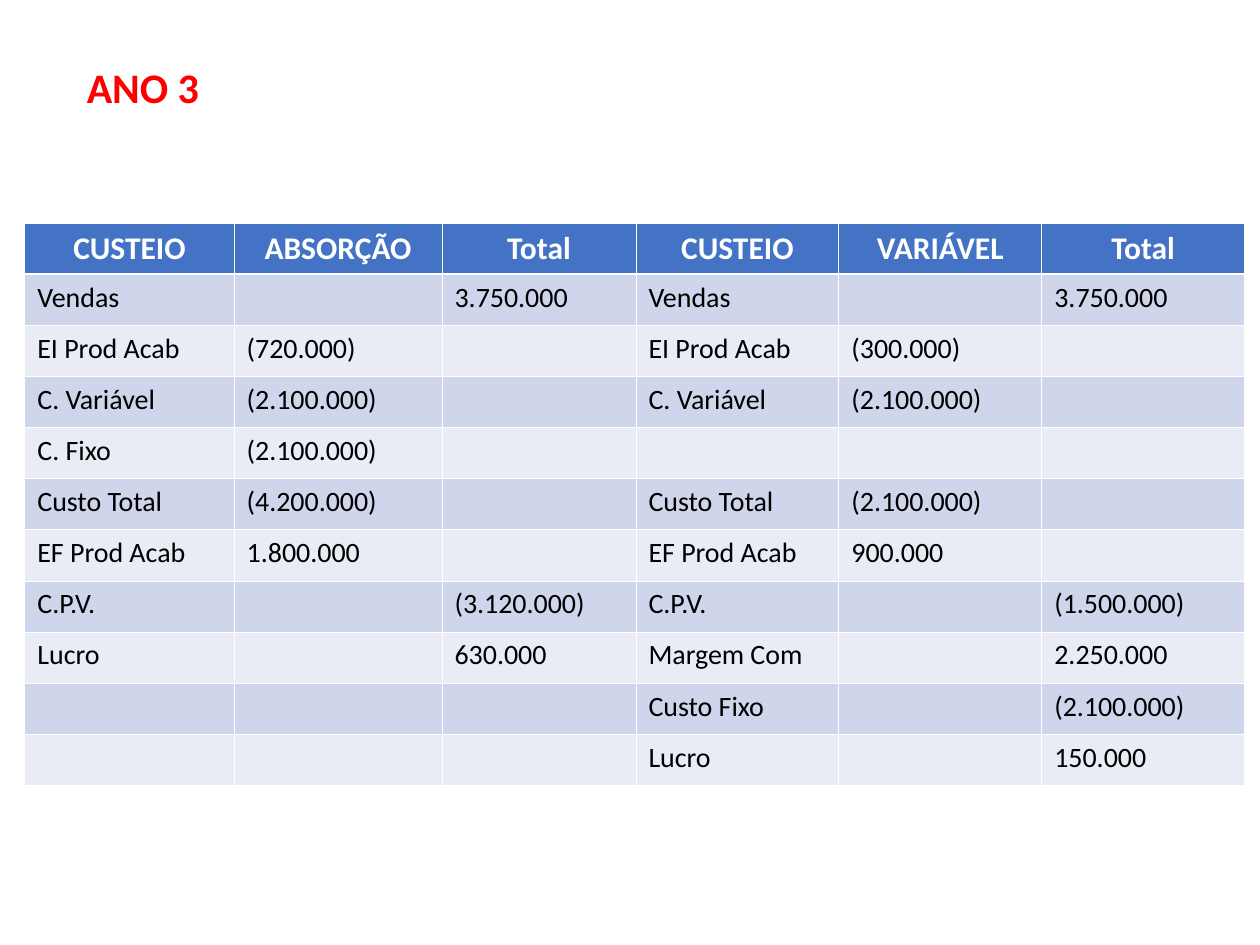
from dataclasses import dataclass

from lxml import etree
from pptx import Presentation
from pptx import util as u
from pptx.dml.color import RGBColor
from pptx.enum import text
from pptx.oxml.ns import qn


@dataclass(frozen=True)
class Theme:
    font: str = "Calibri"
    title_color: str = "FF0000"
    header_color: str = "FFFFFF"
    body_color: str = "000000"
    header_fill: str = "4472C4"
    band_fills: tuple[str, str] = ("CFD5EA", "E9EBF5")
    border_color: str = "FFFFFF"
    thin_border: float = 0.45
    thick_border: float = 1.47
    title_size: int = 24
    header_size: int = 18
    body_size: int = 16


@dataclass(frozen=True)
class Entry:
    label: str = ""
    partial: str = ""
    total: str = ""

    def values(self) -> tuple[str, str, str]:
        return self.label, self.partial, self.total


THEME = Theme()
COLUMN_WIDTHS = (4.22, 4.19, 3.91, 4.09, 4.09, 4.09)
ROW_HEIGHT = 1.03

ABSORPTION = (
    Entry("CUSTEIO", "ABSORÇÃO", "Total"),
    Entry("Vendas", total="3.750.000"),
    Entry("EI Prod Acab", "(720.000)"),
    Entry("C. Variável", "(2.100.000)"),
    Entry("C. Fixo", "(2.100.000)"),
    Entry("Custo Total", "(4.200.000)"),
    Entry("EF Prod Acab", "1.800.000"),
    Entry("C.P.V.", total="(3.120.000)"),
    Entry("Lucro", total="630.000"),
    Entry(),
    Entry(),
)
VARIABLE = (
    Entry("CUSTEIO", "VARIÁVEL", "Total"),
    Entry("Vendas", total="3.750.000"),
    Entry("EI Prod Acab", "(300.000)"),
    Entry("C. Variável", "(2.100.000)"),
    Entry(),
    Entry("Custo Total", "(2.100.000)"),
    Entry("EF Prod Acab", "900.000"),
    Entry("C.P.V.", total="(1.500.000)"),
    Entry("Margem Com", total="2.250.000"),
    Entry("Custo Fixo", total="(2.100.000)"),
    Entry("Lucro", total="150.000"),
)


def write_text(frame, content: str, *, size: int, color: str, bold: bool = False,
               alignment=text.PP_ALIGN.LEFT) -> None:
    paragraph = frame.paragraphs[0]
    paragraph.alignment = alignment
    if not content:
        return
    run = paragraph.add_run()
    run.text = content
    run.font.name = THEME.font
    run.font.size = u.Pt(size)
    run.font.bold = bold
    run.font.color.rgb = RGBColor.from_string(color)


def add_borders(cell, *, top: float, bottom: float) -> None:
    properties = cell._tc.get_or_add_tcPr()
    widths = {"lnL": THEME.thin_border, "lnR": THEME.thin_border, "lnT": top, "lnB": bottom}
    for side, width in widths.items():
        line = etree.SubElement(properties, qn(f"a:{side}"), w=str(u.Pt(width)))
        fill = etree.SubElement(line, qn("a:solidFill"))
        etree.SubElement(fill, qn("a:srgbClr"), val=THEME.border_color)


def format_cell(cell, content: str, row: int) -> None:
    header = row == 0
    add_borders(
        cell,
        top=THEME.thick_border if row == 1 else THEME.thin_border,
        bottom=THEME.thick_border if header else THEME.thin_border,
    )
    cell.fill.solid()
    cell.fill.fore_color.rgb = RGBColor.from_string(
        THEME.header_fill if header else THEME.band_fills[(row - 1) % 2])
    write_text(
        cell.text_frame, content, bold=header,
        size=THEME.header_size if header else THEME.body_size,
        color=THEME.header_color if header else THEME.body_color,
        alignment=text.PP_ALIGN.CENTER if header else text.PP_ALIGN.LEFT,
    )


def add_title(slide, content: str) -> None:
    shape = slide.shapes.add_textbox(u.Cm(1.5), u.Cm(1.12), u.Cm(8.81), u.Cm(1.27))
    shape.text_frame.word_wrap = True
    shape.text_frame.auto_size = text.MSO_AUTO_SIZE.SHAPE_TO_FIT_TEXT
    write_text(shape.text_frame, content, size=THEME.title_size,
               color=THEME.title_color, bold=True)


def add_statement_table(slide, left: tuple[Entry, ...], right: tuple[Entry, ...]) -> None:
    table = slide.shapes.add_table(
        len(left), len(COLUMN_WIDTHS), u.Cm(0.5), u.Cm(4.5),
        u.Cm(sum(COLUMN_WIDTHS)), u.Cm(ROW_HEIGHT * len(left))).table
    for column, width in zip(table.columns, COLUMN_WIDTHS):
        column.width = u.Cm(width)
    for row, entries in enumerate(zip(left, right)):
        table.rows[row].height = u.Cm(ROW_HEIGHT)
        contents = entries[0].values() + entries[1].values()
        for column, content in enumerate(contents):
            format_cell(table.cell(row, column), content, row)


def main() -> None:
    presentation = Presentation()
    presentation.slide_width = u.Cm(25.4)
    presentation.slide_height = u.Cm(19.05)
    slide = presentation.slides.add_slide(presentation.slide_layouts[6])
    add_statement_table(slide, ABSORPTION, VARIABLE)
    add_title(slide, "ANO 3")
    presentation.save("out.pptx")


if __name__ == "__main__":
    main()
